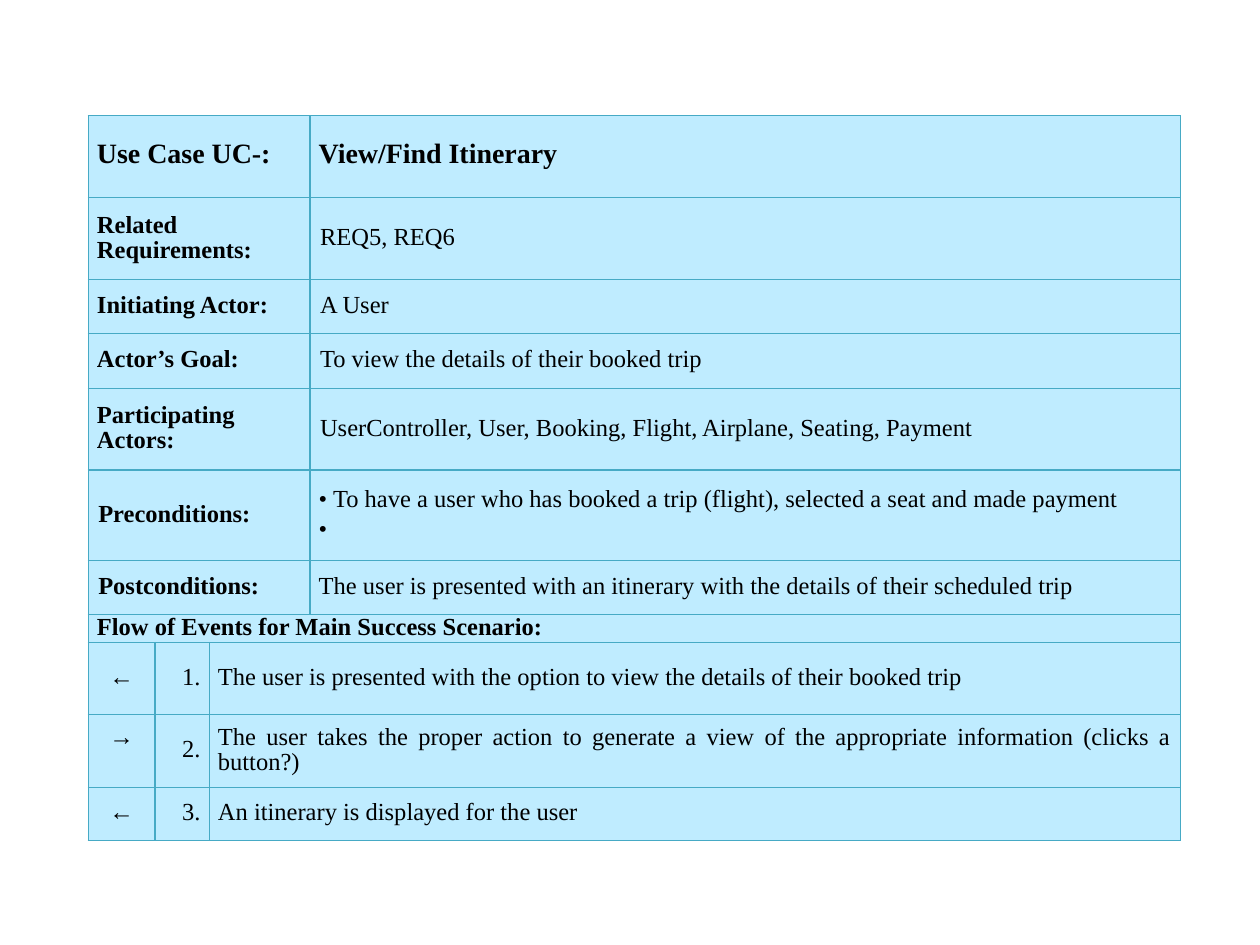
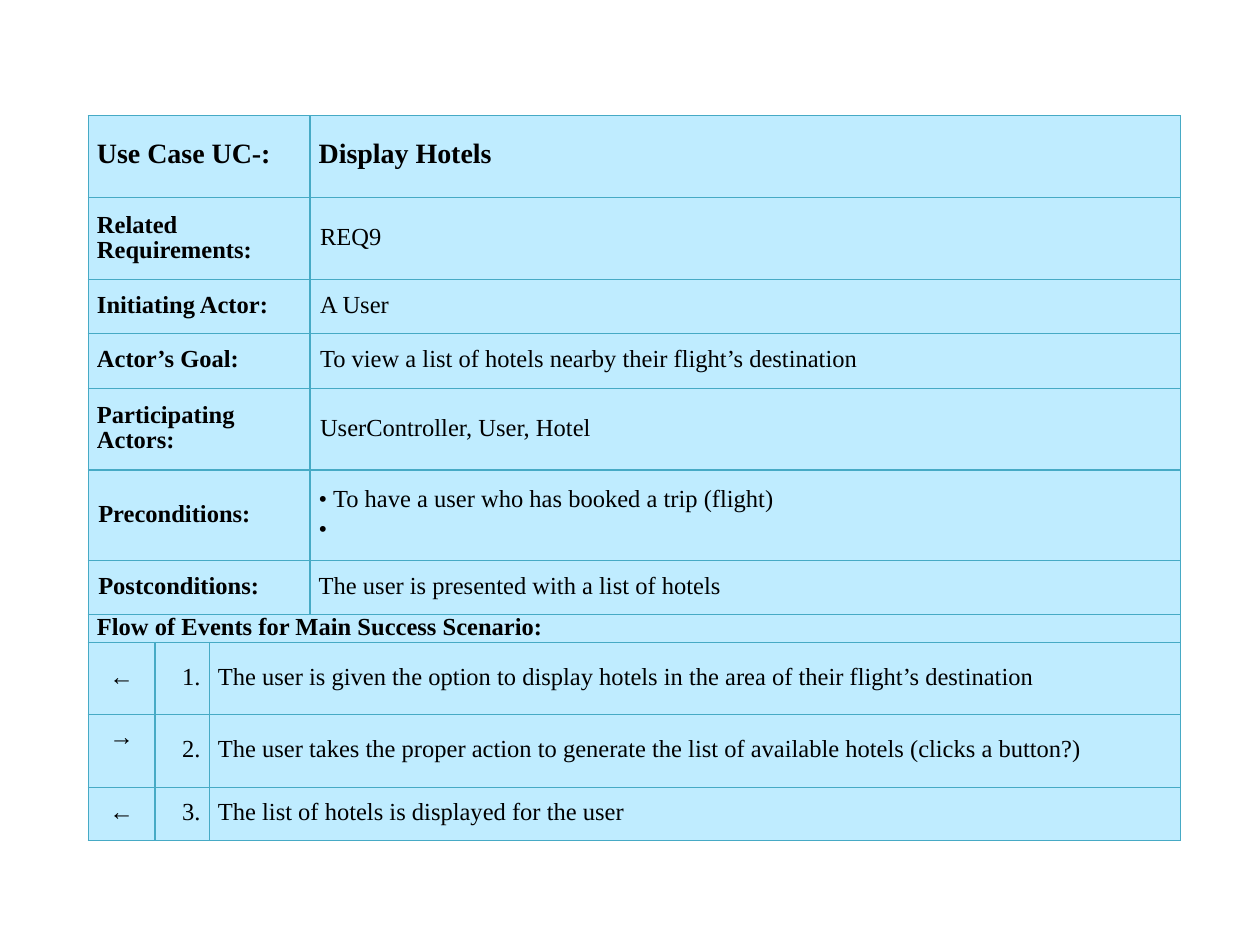
from lxml.etree import SubElement
from pptx import Presentation
from pptx.dml.color import RGBColor
from pptx.enum.text import MSO_ANCHOR, PP_ALIGN
from pptx.oxml.ns import qn
from pptx.util import Inches, Pt

# Content: values follow the order of LABELS, steps the order of ARROWS
LABELS = ["Use Case UC-:", "Related Requirements:", "Initiating Actor:", "Actor’s Goal:",
          "Participating Actors:", "Preconditions:", "Postconditions:"]
FLOW_HEADING = "Flow of Events for Main Success Scenario:"
ARROWS = ["←", "→", "←"]
USE_CASES = [
    {
        "values": [
            "View/Find Itinerary",
            "REQ5, REQ6",
            "A User",
            "To view the details of their booked trip",
            "UserController, User, Booking, Flight, Airplane, Seating, Payment",
            "• To have a user who has booked a trip (flight), selected a seat and made payment\n•",
            "The user is presented with an itinerary with the details of their scheduled trip",
        ],
        "steps": [
            "The user is presented with the option to view the details of their booked trip",
            "The user takes the proper action to generate a view of the appropriate "
            "information (clicks a button?)",
            "An itinerary is displayed for the user",
        ],
    },
    {
        "values": [
            "Display Hotels",
            "REQ9",
            "A User",
            "To view a list of hotels nearby their flight’s destination",
            "UserController, User, Hotel",
            "• To have a user who has booked a trip (flight)\n•",
            "The user is presented with a list of hotels",
        ],
        "steps": [
            "The user is given the option to display hotels in the area of their "
            "flight’s destination",
            "The user takes the proper action to generate the list of available hotels "
            "(clicks a button?)",
            "The list of hotels is displayed for the user",
        ],
    },
]

# Shared look
FONT, TEXT, FILL, BORDER = "Times New Roman", "000000", "BFECFF", "46AAC5"
LEFT, TOP = 0.7, 0.92
COLUMN_WIDTHS = [0.53, 0.43, 0.8, 6.91]
ROW_HEIGHTS = [0.65, 0.65, 0.43, 0.43, 0.65, 0.72, 0.43, 0.22, 0.57, 0.58, 0.42]
PLAIN_INSETS, LABEL_INSETS, VALUE_INSETS = (0.07, 0.07), (0.08, 0.02), (0.08, 0.04)


def color(hex_string):
    return RGBColor.from_string(hex_string)


def style_cell(cell):
    """Give a cell its four borders and its fill."""
    properties = cell._tc.get_or_add_tcPr()
    for side in ("a:lnL", "a:lnR", "a:lnT", "a:lnB"):
        line = SubElement(properties, qn(side), w=str(Pt(0.75)))
        line_fill = SubElement(line, qn("a:solidFill"))
        SubElement(line_fill, qn("a:srgbClr"), val=BORDER)
    cell.fill.solid()
    cell.fill.fore_color.rgb = color(FILL)


def write(cell, text, bold=False, size=14, align=PP_ALIGN.JUSTIFY, before=0,
          insets=PLAIN_INSETS, bottom=0):
    cell.vertical_anchor = MSO_ANCHOR.MIDDLE
    cell.margin_left, cell.margin_right = map(Inches, insets)
    cell.margin_top, cell.margin_bottom = 0, Inches(bottom)
    cell.text_frame.text = text
    for paragraph in cell.text_frame.paragraphs:
        paragraph.alignment = align
        paragraph.line_spacing = Pt(14)
        paragraph.space_before = Pt(before)
        for run in paragraph.runs:
            run.font.name, run.font.size, run.font.bold = FONT, Pt(size), bold
            run.font.color.rgb = color(TEXT)


def add_grid(slide):
    frame = slide.shapes.add_table(
        len(ROW_HEIGHTS), len(COLUMN_WIDTHS), Inches(LEFT), Inches(TOP),
        Inches(sum(COLUMN_WIDTHS)), Inches(sum(ROW_HEIGHTS)))
    table = frame.table
    table.first_row = table.horz_banding = False
    for column, width in zip(table.columns, COLUMN_WIDTHS):
        column.width = Inches(width)
    for row, height in zip(table.rows, ROW_HEIGHTS):
        row.height = Inches(height)
    for cell in table.iter_cells():
        style_cell(cell)
    return table


def add_use_case(slide, use_case):
    table = add_grid(slide)

    # Labels and values
    for row, (label, value) in enumerate(zip(LABELS, use_case["values"])):
        table.cell(row, 0).merge(table.cell(row, 2))
        if row == 0:
            heading = dict(bold=True, size=16, align=PP_ALIGN.LEFT, before=6)
            write(table.cell(row, 0), label, **heading)
            write(table.cell(row, 3), value, **heading)
            continue
        is_condition = label.endswith("conditions:")
        write(table.cell(row, 0), label, bold=True, before=3,
              insets=LABEL_INSETS if is_condition else PLAIN_INSETS)
        write(table.cell(row, 3), value, before=3,
              insets=PLAIN_INSETS if is_condition else VALUE_INSETS)

    # Flow heading
    flow_row = len(LABELS)
    table.cell(flow_row, 0).merge(table.cell(flow_row, 3))
    write(table.cell(flow_row, 0), FLOW_HEADING, bold=True, before=4)

    # Numbered steps; the right arrow sits a little higher
    for number, (arrow, step) in enumerate(zip(ARROWS, use_case["steps"]), start=1):
        row = flow_row + number
        table.cell(row, 2).merge(table.cell(row, 3))
        write(table.cell(row, 0), arrow, align=PP_ALIGN.CENTER,
              bottom=0.19 if arrow == "→" else 0)
        write(table.cell(row, 1), f"{number}.", align=PP_ALIGN.RIGHT)
        write(table.cell(row, 2), step)


def main():
    presentation = Presentation()
    presentation.slide_width, presentation.slide_height = Inches(10), Inches(7.5)
    blank = presentation.slide_layouts[6]
    for use_case in USE_CASES:
        add_use_case(presentation.slides.add_slide(blank), use_case)
    presentation.save("out.pptx")


if __name__ == "__main__":
    main()
